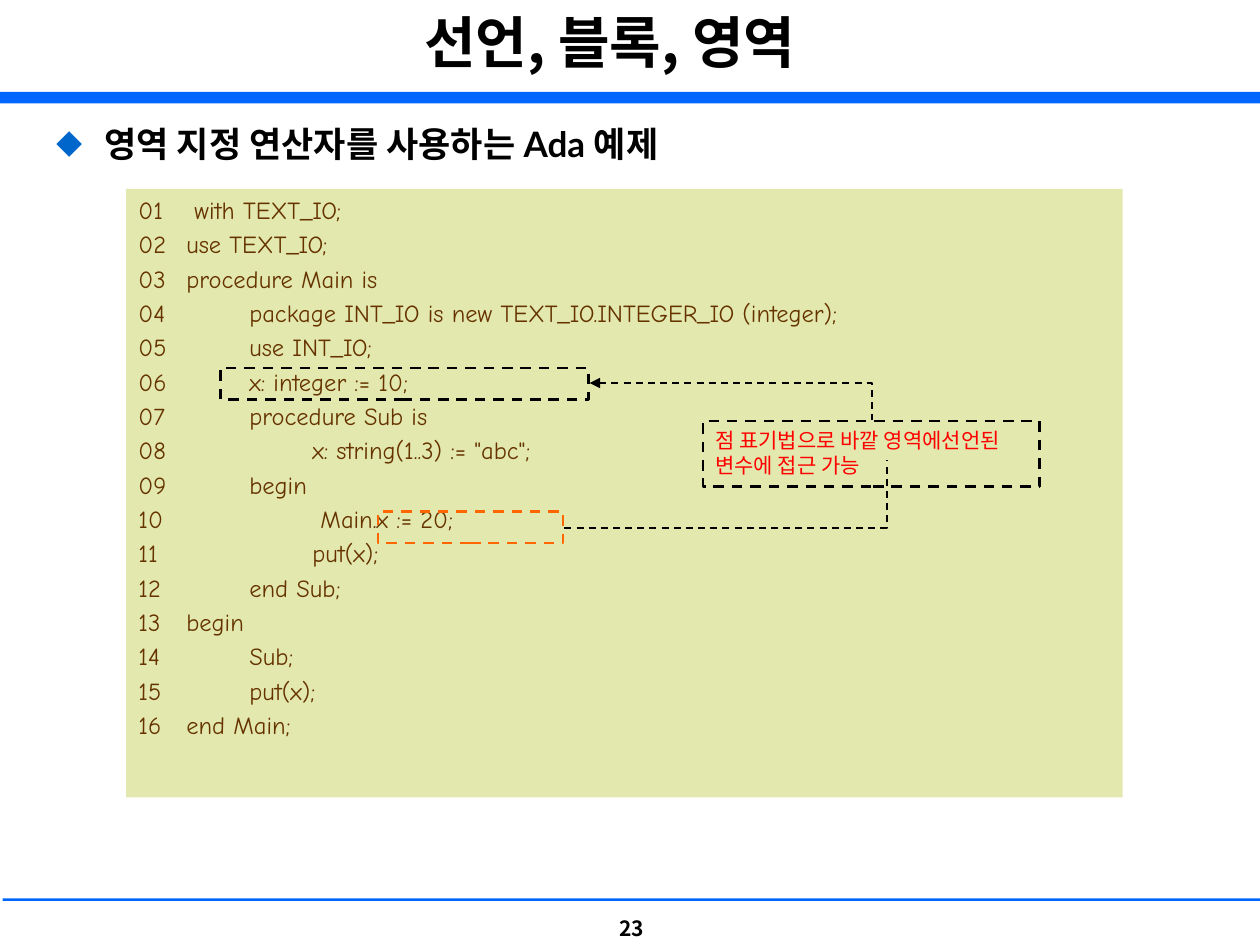
import pptx
import pptx.dml.color
import pptx.enum.dml
import pptx.enum.shapes
import pptx.enum.text
import pptx.oxml
import pptx.util
from pptx.util import Inches

RGBColor = pptx.dml.color.RGBColor
BLACK = RGBColor(0x00, 0x00, 0x00)
BLUE = RGBColor(0x00, 0x66, 0xFF)
BULLET_BLUE = RGBColor(0x00, 0x66, 0xCC)
GREEN = RGBColor(0xE2, 0xE8, 0xAE)
BROWN = RGBColor(0x66, 0x33, 0x00)
ORANGE = RGBColor(0xFF, 0x66, 0x00)
RED = RGBColor(0xFF, 0x00, 0x00)

KOREAN_FONT = "Noto Sans CJK KR"
TITLE = "선언, 블록, 영역"
HEADING = "영역 지정 연산자를 사용하는 Ada 예제"
NOTE = "점 표기법으로 바깥 영역에선언된 변수에 접근 가능"
PAGE_NUMBER = "23"
CODE = [
    "01\t with TEXT_IO;",
    "02 \tuse TEXT_IO;",
    "03 \tprocedure Main is",
    "04 \t\tpackage INT_IO is new TEXT_IO.INTEGER_IO (integer);",
    "05 \t\tuse INT_IO;",
    "06 \t\tx: integer := 10;",
    "07 \t\tprocedure Sub is",
    "08 \t\t\tx: string(1..3) := \"abc\";",
    "09 \t\tbegin",
    "10\t\t\t Main.x := 20;",
    "11 \t\t\tput(x);",
    "12 \t\tend Sub;",
    "13 \tbegin",
    "14 \t\tSub;",
    "15 \t\tput(x);",
    "16 \tend Main;",
]

FORMATS = {
    "title": {"size": 32, "name": KOREAN_FONT, "bold": True, "color": BLACK},
    "heading": {"size": 20, "name": "Lato", "bold": True, "color": BLACK},
    "code": {"size": 14, "name": "Comic Neue", "bold": False, "color": BROWN},
    "note": {"size": 12, "name": KOREAN_FONT, "bold": False, "color": RED},
    "page": {"size": 12, "name": KOREAN_FONT, "bold": True, "color": BLACK},
}
TOP = pptx.enum.text.MSO_ANCHOR.TOP
MIDDLE = pptx.enum.text.MSO_ANCHOR.MIDDLE
LEFT = pptx.enum.text.PP_ALIGN.LEFT
CENTER = pptx.enum.text.PP_ALIGN.CENTER

RULES = [(0, 0.73, 10, 0.09), (0.02, 7.13, 9.98, 0.02)]
CODE_BOX = (1, 1.5, 7.91, 4.83)
DECLARATION_BOX = (1.75, 2.92, 2.92, 0.25)
ASSIGNMENT_BOX = (3, 4.06, 1.47, 0.25)
NOTE_BOX = (5.58, 3.34, 2.67, 0.52)
# from x, from y, to x, to y, arrowhead at the start
CONNECTORS = [(4.48, 4.19, 7.04, 3.65, False), (4.68, 3.04, 6.92, 3.33, True)]


def add_xml(parent, tag, **attributes):
    element = pptx.oxml.parse_xml(
        '<a:%s xmlns:a="http://schemas.openxmlformats.org/drawingml/2006/main"/>' % tag)
    for name, value in attributes.items():
        element.set(name, str(value))
    parent.append(element)
    return element


def place(shape, box):
    for name, value in zip(("left", "top", "width", "height"), box):
        setattr(shape, name, Inches(value))


def write(shape, lines, style, anchor=TOP, align=LEFT):
    """Fill a shape with one formatted paragraph per line."""
    frame = shape.text_frame
    frame.word_wrap = True
    frame.auto_size = pptx.enum.text.MSO_AUTO_SIZE.NONE
    frame.vertical_anchor = anchor
    for index, line in enumerate(lines):
        paragraph = frame.add_paragraph() if index else frame.paragraphs[0]
        paragraph.alignment = align
        run = paragraph.add_run()
        run.text = line
        values = dict(FORMATS[style])
        run.font.color.rgb = values.pop("color")
        values["size"] = pptx.util.Pt(values["size"])
        for name, value in values.items():
            setattr(run.font, name, value)
        east_asian = add_xml(run.font._element, "ea", typeface=KOREAN_FONT)
        run.font._element.find(pptx.oxml.ns.qn("a:latin")).addnext(east_asian)
    return frame.paragraphs


def set_hanging_list(paragraph):
    properties = paragraph._p.get_or_add_pPr()
    properties.set("marL", str(Inches(0.38)))
    properties.set("indent", str(Inches(-0.38)))
    add_xml(add_xml(properties, "spcBef"), "spcPct", val=20000)
    return properties


def add_box(slide, box, fill=None, dash_color=None):
    shape = slide.shapes.add_shape(pptx.enum.shapes.MSO_SHAPE.RECTANGLE, *map(Inches, box))
    shape.shadow.inherit = False
    if fill is None:
        shape.fill.background()
    else:
        shape.fill.solid()
        shape.fill.fore_color.rgb = fill
    if dash_color is None:
        shape.line.fill.background()
    else:
        set_dashes(shape.line, dash_color, 1.5)
    return shape


def set_dashes(line, color, width):
    line.color.rgb = color
    line.width = pptx.util.Pt(width)
    line.dash_style = pptx.enum.dml.MSO_LINE.DASH


def add_elbow(slide, start_x, start_y, end_x, end_y, has_arrow):
    """Add a dashed connector that runs sideways first, with one bend."""
    connector = slide.shapes.add_connector(
        pptx.enum.shapes.MSO_CONNECTOR.ELBOW,
        *map(Inches, (start_x, start_y, end_x, end_y)))
    set_dashes(connector.line, BLACK, 1)
    properties = connector._element.spPr
    properties.find(pptx.oxml.ns.qn("a:prstGeom")).set("prst", "bentConnector2")
    if has_arrow:
        add_xml(connector.line._get_or_add_ln(), "headEnd", type="triangle")
    add_xml(properties, "effectLst")


def main():
    presentation = pptx.Presentation()
    presentation.slide_width = Inches(10)
    presentation.slide_height = Inches(7.5)
    slide = presentation.slides.add_slide(presentation.slide_layouts[1])

    title, body = slide.placeholders
    place(title, (0.34, 0.01, 9, 0.78))
    write(title, [TITLE], "title", align=CENTER)
    place(body, (0.35, 0.92, 9.21, 6.14))
    bullet = set_hanging_list(write(body, [HEADING], "heading")[0])
    add_xml(add_xml(bullet, "buClr"), "srgbClr", val=BULLET_BLUE)
    add_xml(bullet, "buSzPct", val=75000)
    add_xml(bullet, "buFont", typeface=KOREAN_FONT)
    add_xml(bullet, "buChar", char="◆")

    for rule in RULES:
        add_box(slide, rule, fill=BLUE)
    page = slide.shapes.add_textbox(*map(Inches, (4.59, 7.17, 0.85, 0.39)))
    write(page, [PAGE_NUMBER], "page", MIDDLE, CENTER)

    code_box = add_box(slide, CODE_BOX, fill=GREEN)
    for paragraph in write(code_box, CODE, "code"):
        set_hanging_list(paragraph)

    add_box(slide, DECLARATION_BOX, dash_color=BLACK)
    add_box(slide, ASSIGNMENT_BOX, dash_color=ORANGE)
    write(add_box(slide, NOTE_BOX, dash_color=BLACK), [NOTE], "note")
    for connector in CONNECTORS:
        add_elbow(slide, *connector)

    presentation.save("out.pptx")


if __name__ == "__main__":
    main()
